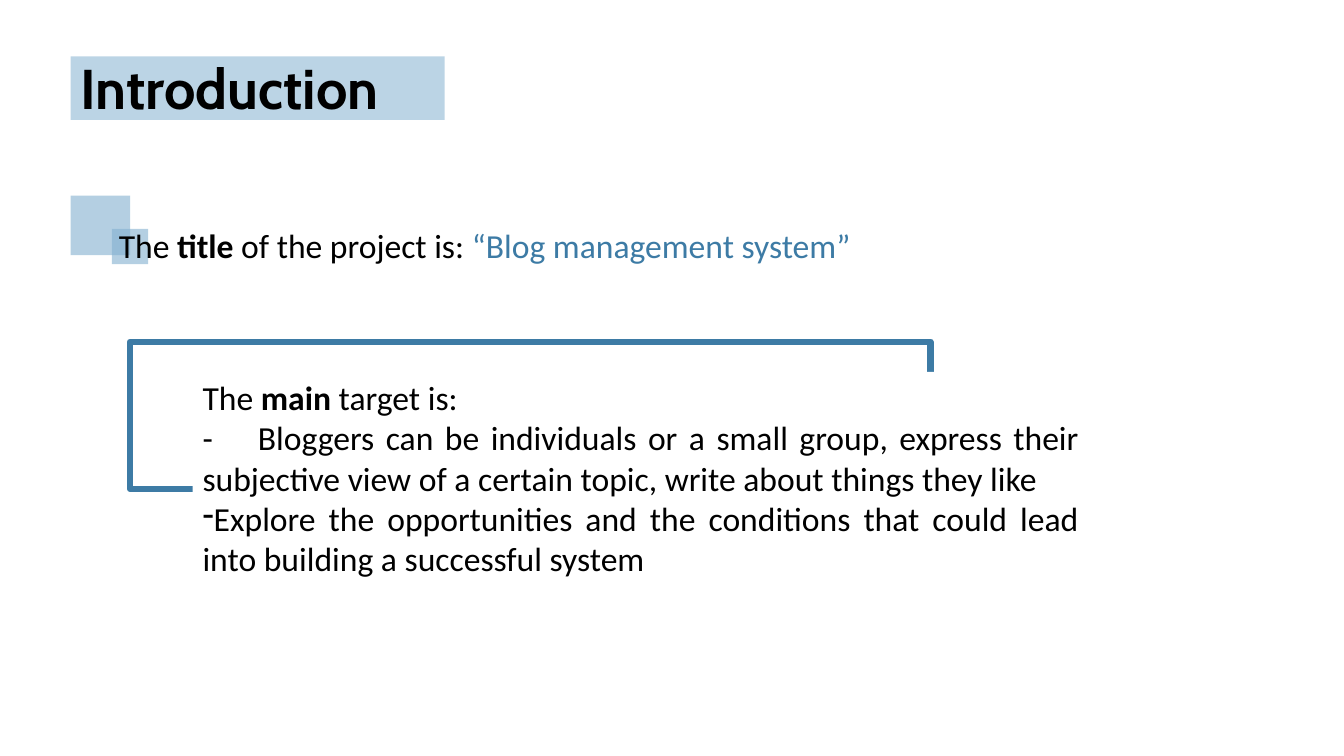
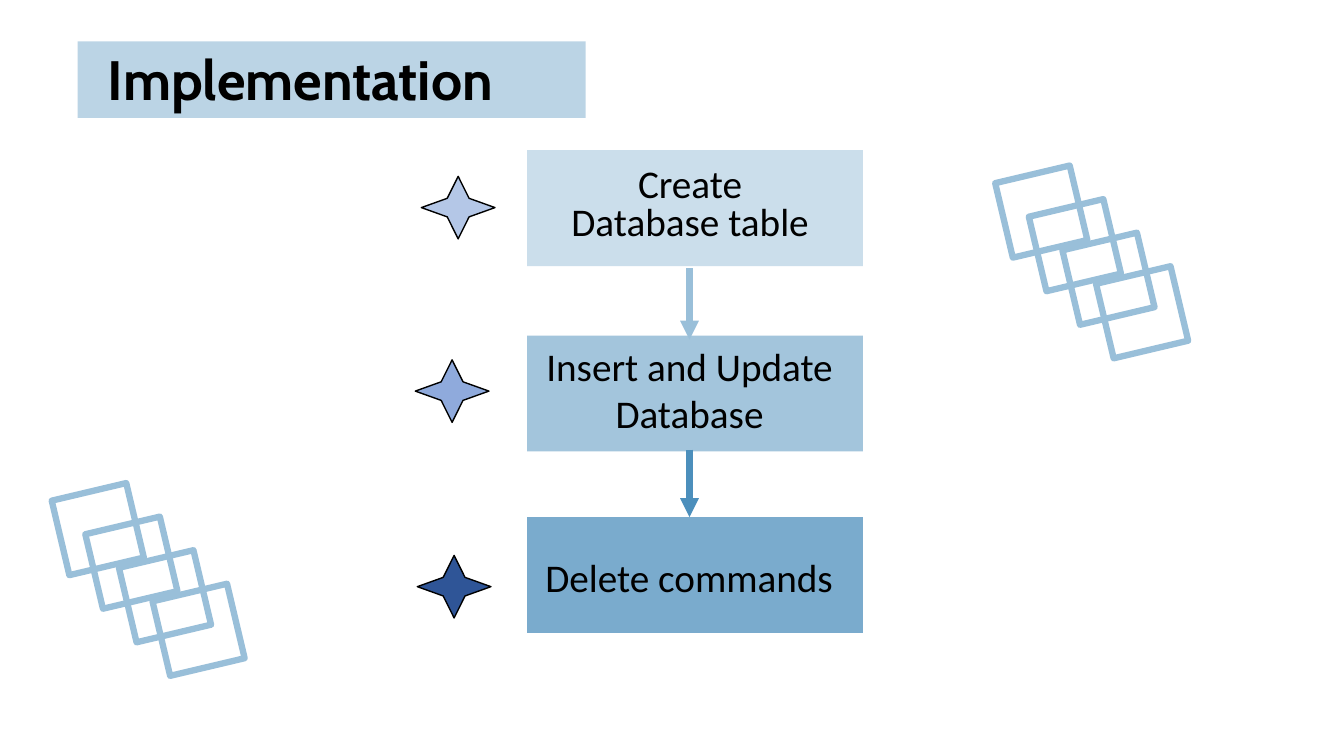
import lxml.etree
import pptx
import pptx.dml.color
import pptx.enum.shapes
import pptx.enum.text
import pptx.oxml.ns
import pptx.util

RGBColor = pptx.dml.color.RGBColor
SHAPE = pptx.enum.shapes.MSO_SHAPE
ALIGN = pptx.enum.text.PP_ALIGN
ANCHOR = pptx.enum.text.MSO_ANCHOR
qn = pptx.oxml.ns.qn

BLACK = RGBColor(0x00, 0x00, 0x00)
WHITE = RGBColor(0xFF, 0xFF, 0xFF)
PALE = RGBColor(0x99, 0xBF, 0xD9)
SKY = RGBColor(0x82, 0xB0, 0xD0)
MEDIUM = RGBColor(0x4C, 0x8F, 0xBC)
DEEP = RGBColor(0x3D, 0x7B, 0xA5)
STAR_LIGHT = RGBColor(0xB4, 0xC7, 0xE7)
STAR_MEDIUM = RGBColor(0x8F, 0xAA, 0xDC)
STAR_DARK = RGBColor(0x2F, 0x55, 0x97)

WIDTH = pptx.util.Inches(13.33)
HEIGHT = pptx.util.Inches(7.5)
TITLE_FONT = "Cabin"
TEXT_FONT = "Calibri"
THICK = 4.5


def area(left, top, width, height):
    """Turn percentages of the slide into left, top, width and height."""
    return (int(WIDTH * left / 100), int(HEIGHT * top / 100),
            int(WIDTH * width / 100), int(HEIGHT * height / 100))


def add_figure(page, kind, place, fill=None, opacity=100, line=None, weight=THICK):
    """Add a preset shape with an optional translucent fill and outline."""
    figure = page.shapes.add_shape(kind, *area(*place))
    figure.shadow.inherit = False
    if fill is None:
        figure.fill.background()
    else:
        figure.fill.solid()
        figure.fill.fore_color.rgb = fill
        if opacity < 100:
            color = figure.element.spPr.find(qn("a:solidFill"))[0]
            lxml.etree.SubElement(color, qn("a:alpha"), val=str(opacity * 1000))
    if line is None:
        figure.line.fill.background()
    else:
        figure.line.color.rgb = line
        figure.line.width = pptx.util.Pt(weight)
    return figure


def format_font(font, name, size, color=BLACK, bold=False):
    """Set the typeface, size, colour and weight of a font."""
    font.name = name
    font.size = pptx.util.Pt(size)
    font.color.rgb = color
    font.bold = bold


def add_heading(page, text, band, place, size):
    """Add the title band and bring the title placeholder in front of it."""
    add_figure(page, SHAPE.RECTANGLE, band, PALE, 66)
    title = page.shapes.title
    title.left, title.top, title.width, title.height = area(*place)
    title.element.getparent().append(title.element)
    frame = title.text_frame
    frame.text = text
    frame.vertical_anchor = ANCHOR.MIDDLE
    para = frame.paragraphs[0]
    para.alignment = ALIGN.LEFT
    para.line_spacing = 0.9
    format_font(para.runs[0].font, TITLE_FONT, size, bold=True)


def add_text(page, place, paragraphs, size, align, spacing=None):
    """Add a text box whose paragraphs are lists of (text, colour, bold)."""
    box = page.shapes.add_textbox(*area(*place))
    frame = box.text_frame
    frame.word_wrap = True
    for index, spans in enumerate(paragraphs):
        para = frame.add_paragraph() if index else frame.paragraphs[0]
        para.alignment = align
        if spacing:
            para.line_spacing = spacing
            para.space_before = pptx.util.Pt(10)
        for text, color, bold in spans:
            span = para.add_run()
            span.text = text
            format_font(span.font, TEXT_FONT, size, color, bold)
    return box


def add_dash(para):
    """Give a paragraph a hanging dash bullet."""
    properties = para._p.get_or_add_pPr()
    properties.set("marL", "0")
    properties.set("indent", str(-pptx.util.Inches(0.38)))
    lxml.etree.SubElement(properties, qn("a:buChar"), char="-")


def add_tab_stop(para, inches):
    """Give a paragraph one left tab stop."""
    stops = lxml.etree.SubElement(para._p.get_or_add_pPr(), qn("a:tabLst"))
    lxml.etree.SubElement(stops, qn("a:tab"), pos=str(pptx.util.Inches(inches)), algn="l")


def add_down_arrow(page, x, top, bottom, color):
    """Add a vertical connector with an arrowhead at its lower end."""
    left, start, right, end = area(x, top, x, bottom)
    arrow = page.shapes.add_connector(
        pptx.enum.shapes.MSO_CONNECTOR.STRAIGHT, left, start, right, end)
    arrow.line.color.rgb = color
    arrow.line.width = pptx.util.Pt(THICK)
    properties = arrow.element.spPr
    lxml.etree.SubElement(properties.find(qn("a:ln")), qn("a:tailEnd"), type="triangle")
    lxml.etree.SubElement(properties, qn("a:effectLst"))


def add_square_chain(page, left, top):
    """Add four tilted outlined squares stepping down to the right."""
    for step in range(4):
        place = (left + step * 2.5, top + step * 4.44, 5.7, 10.13)
        add_figure(page, SHAPE.RECTANGLE, place, line=PALE).rotation = 346.7


def build_introduction(page):
    """Fill the introduction slide."""
    add_figure(page, SHAPE.RECTANGLE, (9.68, 45.2, 59.55, 19.47), line=DEEP)
    for place in ((8.33, 30.27, 2.7, 4.67), (5.25, 25.87, 4.43, 7.87)):
        add_figure(page, SHAPE.RECTANGLE, place, SKY, 60)
    add_heading(page, "Introduction", (5.25, 7.47, 27.83, 8.4),
                (5.25, 5.07, 28.65, 14), 40)
    project = [("The ", BLACK, False), ("title", BLACK, True),
               (" of the project is: ", BLACK, False),
               ("“Blog management system”", DEEP, False)]
    add_text(page, (8.1, 29.73, 87.98, 15.47), [project], 24, ALIGN.JUSTIFY, 0.9)
    target = [
        [("The ", BLACK, False), ("main", BLACK, True), (" target is:", BLACK, False)],
        [("-\tBloggers can be individuals or a small group, express their subjective "
          "view of a certain topic, write about things they like", BLACK, False)],
        [("Explore the opportunities and the conditions that could lead into "
          "building a successful system", BLACK, False)],
    ]
    box = add_text(page, (14.33, 49.2, 66.68, 33.6), target, 24, ALIGN.JUSTIFY)
    box.fill.solid()
    box.fill.fore_color.rgb = WHITE
    add_tab_stop(box.text_frame.paragraphs[1], 0.55)
    add_dash(box.text_frame.paragraphs[2])


def build_implementation(page):
    """Fill the implementation slide."""
    add_heading(page, "Implementation", (5.78, 5.47, 37.8, 10.13),
                (7.28, 5.2, 36.3, 11.33), 39.6)
    steps = (
        ("Create Database table", 19.87, PALE, 50, (41.25, 21.6, 20.18, 11.33), 0.8,
         (31.35, 23.33), STAR_LIGHT),
        ("Insert and Update Database", 44.4, PALE, 90, (38.4, 44.67, 25.8, 18), None,
         (30.9, 47.6), STAR_MEDIUM),
        ("Delete commands", 68.4, MEDIUM, 74, (39.38, 72.53, 23.78, 7.6), None,
         (31.05, 73.47), STAR_DARK),
    )
    for text, top, fill, opacity, place, spacing, corner, star_fill in steps:
        add_figure(page, SHAPE.RECTANGLE, (39.23, top, 24.98, 15.33), fill, opacity)
        add_text(page, place, [[(text, BLACK, False)]], 28, ALIGN.CENTER, spacing)
        star = add_figure(page, SHAPE.STAR_4_POINT, (*corner, 5.48, 8.27),
                          star_fill, line=BLACK, weight=1)
        star.adjustments[0] = 0.21
    add_down_arrow(page, 51.3, 35.47, 44.93, PALE)
    add_down_arrow(page, 51.3, 59.47, 68.4, MEDIUM)
    add_square_chain(page, 4.43, 64.93)
    add_square_chain(page, 74.63, 22.93)


def main():
    """Build and save the deck."""
    deck = pptx.Presentation()
    deck.slide_width, deck.slide_height = WIDTH, HEIGHT
    title_only = deck.slide_layouts.get_by_name("Title Only")
    for build in (build_introduction, build_implementation):
        build(deck.slides.add_slide(title_only))
    deck.save("out.pptx")


if __name__ == "__main__":
    main()
